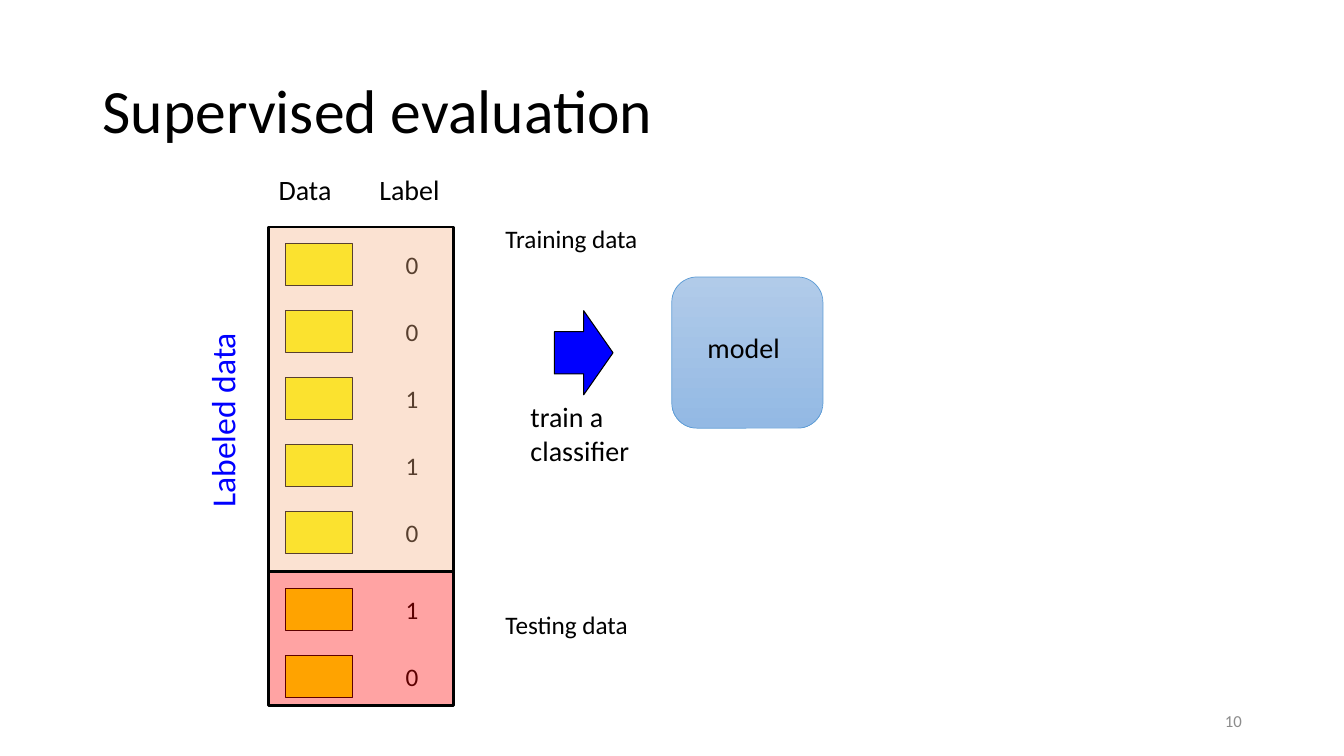
from dataclasses import dataclass

from lxml.etree import SubElement
from pptx import Presentation
from pptx.dml.color import RGBColor as Rgb
from pptx.enum.shapes import MSO_SHAPE as Shape
from pptx.enum.text import MSO_ANCHOR as Anchor, MSO_AUTO_SIZE as AutoSize, PP_ALIGN as Align
from pptx.oxml.ns import qn
from pptx.util import Cm, Pt


@dataclass(frozen=True)
class Theme:
    """Colours, font and type sizes of the slide."""
    font: str = "Calibri"
    black: str = "000000"
    blue: str = "0000FF"
    grey: str = "8C8C8C"
    yellow: str = "FFFF00"
    peach: str = "F4B183"
    red: str = "FF0000"
    model_top: str = "B1CBE9"
    model_bottom: str = "93B9E4"
    model_edge: str = "5B9BD5"
    title: int = 44
    side: int = 24
    head: int = 20
    body: int = 18
    small: int = 12


theme = Theme()


def add_text(shapes, box, text, size, color=theme.black):
    """Add an unwrapped text box, one paragraph per line of text."""
    label = shapes.add_textbox(*map(Cm, box))
    frame = label.text_frame
    frame.text = text
    frame.word_wrap = False
    frame.auto_size = AutoSize.SHAPE_TO_FIT_TEXT
    for paragraph in frame.paragraphs:
        font_format = {"name": theme.font, "size": Pt(size)}
        for key, value in font_format.items():
            setattr(paragraph.font, key, value)
        paragraph.font.color.rgb = Rgb.from_string(color)
    return label


def add_block(shapes, kind, box, fill, edge=theme.black, weight=0.75, alpha=None):
    """Add a flat preset shape, see-through when alpha (percent) is given."""
    block = shapes.add_shape(kind, *map(Cm, box))
    block.shadow.inherit = False
    block.fill.solid()
    block.fill.fore_color.rgb = Rgb.from_string(fill)
    block.line.color.rgb = Rgb.from_string(edge)
    block.line.width = Pt(weight)
    if alpha:
        color = block.fill._xPr.find(qn("a:solidFill"))[0]
        SubElement(color, qn("a:alpha"), val=str(alpha * 1000))
    return block


deck = Presentation()
deck.slide_width, deck.slide_height = Cm(33.87), Cm(19.05)
slide = deck.slides.add_slide(deck.slide_layouts[5])
shapes = slide.shapes

# Title
title = shapes.title
title_box = {"left": 2.33, "top": 1.01, "width": 29.21, "height": 3.68}
for key, value in title_box.items():
    setattr(title, key, Cm(value))
title.text_frame.text = "Supervised evaluation"
title.text_frame.vertical_anchor = Anchor.MIDDLE
heading = title.text_frame.paragraphs[0]
heading.alignment = Align.LEFT
heading.line_spacing = 0.9
title_format = {"name": theme.font, "size": Pt(theme.title)}
for key, value in title_format.items():
    setattr(heading.font, key, value)
heading.font.color.rgb = Rgb.from_string(theme.black)

# Column heads
add_text(shapes, (6.77, 4.23, 1.86, 1.11), "Data", theme.head)
add_text(shapes, (9.31, 4.23, 2.06, 1.11), "Label", theme.head)

# Examples with their labels, then the tinted training and testing sets over them
row_pitch = 1.69
sets = [
    ("00110", 6.14, 5.72, 8.68, theme.peach),
    ("10", 14.82, 14.4, 3.38, theme.red),
]
for labels, first_row, _, _, _ in sets:
    for index, label in enumerate(labels):
        top = first_row + index * row_pitch
        add_block(shapes, Shape.RECTANGLE, (7.2, top, 1.69, 1.06), theme.yellow)
        add_text(shapes, (9.97, top + 0.02, 0.86, 1.02), label, theme.body)
for _, _, top, height, tint in sets:
    add_block(shapes, Shape.RECTANGLE, (6.77, top, 4.66, height), tint, weight=2, alpha=36)

add_text(shapes, (12.49, 5.5, 3.89, 1.02), "Training data", theme.body)
add_text(shapes, (12.49, 15.24, 3.63, 1.02), "Testing data", theme.body)

# Training step
add_block(shapes, Shape.RIGHT_ARROW, (13.97, 7.83, 1.48, 2.12), theme.blue)
add_text(shapes, (13.12, 9.95, 3.05, 1.96), "train a\nclassifier", theme.head)

# Model
model = shapes.add_group_shape().shapes
model_body = add_block(model, Shape.ROUNDED_RECTANGLE, (16.93, 6.98, 3.81, 3.81),
                       theme.model_top, theme.model_edge, 0.5)
model_body.fill.gradient()
model_body.fill.gradient_angle = 270
for stop, color in zip(model_body.fill.gradient_stops, (theme.model_top, theme.model_bottom)):
    stop.color.rgb = Rgb.from_string(color)
for stop, position in zip(model_body.fill.gradient_stops, (0, 1)):
    stop.position = position
add_text(model, (17.58, 8.2, 2.36, 1.11), "model", theme.head)

# Side caption and slide number
caption = add_text(shapes, (3.12, 9.93, 4.95, 1.27), "Labeled data", theme.side, theme.blue)
caption.rotation = 270
number = add_text(shapes, (23.93, 17.65, 7.62, 1.02), "10", theme.small, theme.grey)
number_format = {"word_wrap": True, "auto_size": AutoSize.NONE, "vertical_anchor": Anchor.MIDDLE}
for key, value in number_format.items():
    setattr(number.text_frame, key, value)
number.text_frame.paragraphs[0].alignment = Align.RIGHT

deck.save("out.pptx")
